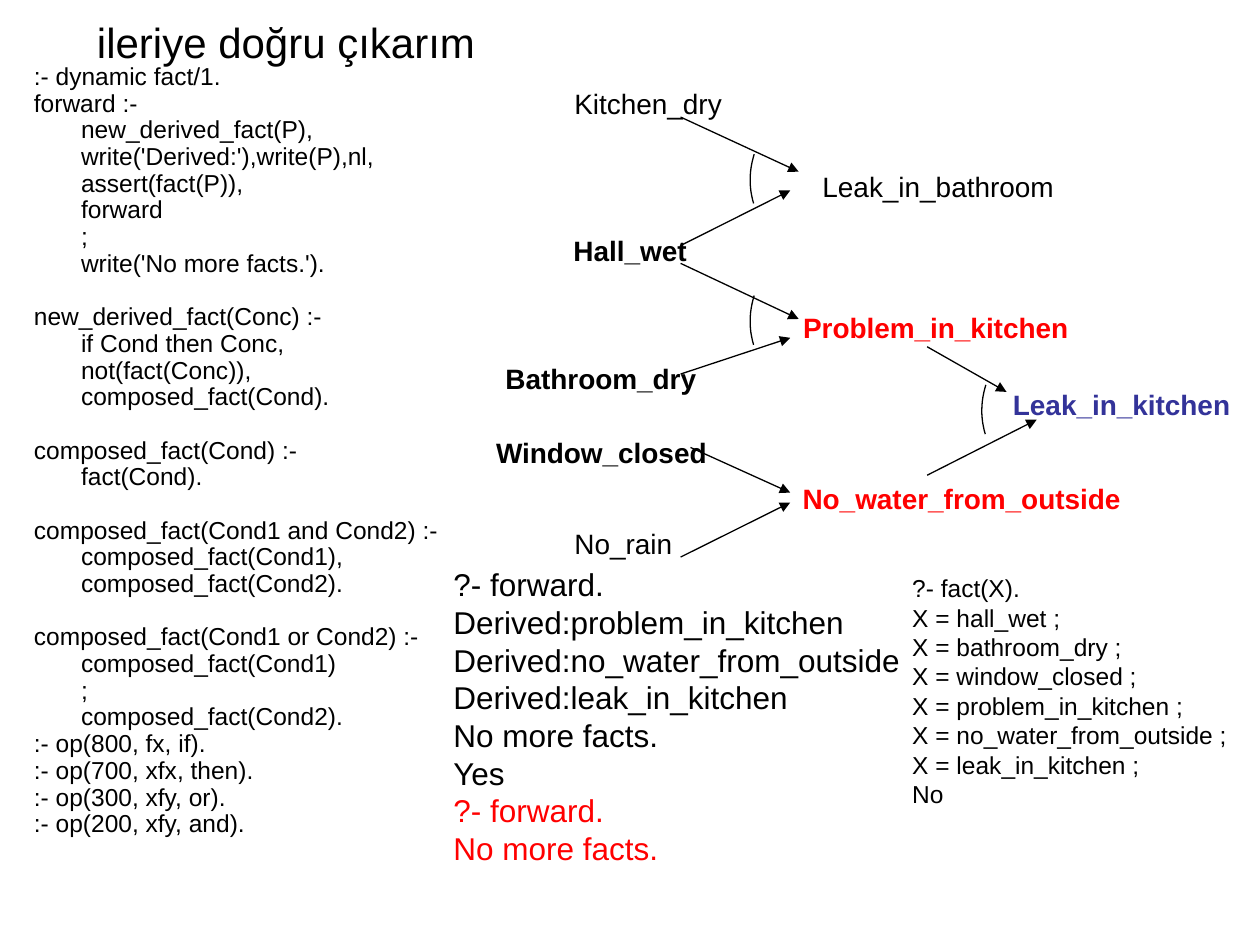
from math import cos, sin

from pptx import Presentation
from pptx.dml.color import RGBColor
from pptx.enum.shapes import MSO_CONNECTOR as CONN
from pptx.enum.text import MSO_ANCHOR, MSO_AUTO_SIZE as FIT, PP_ALIGN
from pptx.oxml.ns import qn
from pptx.util import Cm, Pt
from lxml.etree import SubElement

COLORS = {"black": "000000", "red": "FF0000", "blue": "333399"}


def format_paragraph(p, size, color="black", bold=False):
    p.alignment = PP_ALIGN.LEFT
    for r in p.runs:
        r.font.name = "Arial"
        r.font.size = Pt(size)
        r.font.bold = bold
        r.font.color.rgb = RGBColor.from_string(COLORS[color])


def set_text(sp, text):
    tf = sp.text_frame
    tf.text = text
    tf.word_wrap = True
    tf.auto_size = FIT.NONE
    tf.vertical_anchor = MSO_ANCHOR.TOP
    tf.margin_right = 0
    return tf


prs = Presentation()
prs.slide_width, prs.slide_height = Cm(25.4), Cm(19.05)
s = prs.slides.add_slide(prs.slide_layouts[1])

# Title
title = s.shapes.title
title.left, title.top, title.width, title.height = Cm(1.7), Cm(0.2), Cm(8.13), Cm(1.27)
tf = set_text(title, "ileriye doğru çıkarım")
format_paragraph(tf.paragraphs[0], 24)

# Program listing: one string per clause group
CLAUSES = [
    """:- dynamic fact/1.
forward :-
\tnew_derived_fact(P),
\twrite('Derived:'),write(P),nl,
\tassert(fact(P)),
\tforward
\t;
\twrite('No more facts.').""",
    """new_derived_fact(Conc) :-
\tif Cond then Conc,
\tnot(fact(Conc)),
\tcomposed_fact(Cond).""",
    """composed_fact(Cond) :-
\tfact(Cond).""",
    """composed_fact(Cond1 and Cond2) :-
\tcomposed_fact(Cond1),
\tcomposed_fact(Cond2).""",
    """composed_fact(Cond1 or Cond2) :-
\tcomposed_fact(Cond1)
\t;
\tcomposed_fact(Cond2).
:- op(800, fx, if).
:- op(700, xfx, then).
:- op(300, xfy, or).
:- op(200, xfy, and).""",
]
body = s.placeholders[1]
body.left, body.top, body.width, body.height = Cm(0.43), Cm(1.28), Cm(9.09), Cm(17.35)
tf = set_text(body, "\n".join(CLAUSES))
group_starts = [clause.split("\n")[0] for clause in CLAUSES]
for i, p in enumerate(tf.paragraphs):
    p.line_spacing = Pt(11.75)
    p.space_before = Pt(0 if i == 0 else 18.75 if p.text in group_starts else 3.5)
    pPr = p._p.get_or_add_pPr()
    pPr.set("marL", str(Cm(0.95)))
    pPr.set("indent", str(-Cm(0.95)))
    SubElement(pPr, qn("a:buNone"))
    format_paragraph(p, 14)

# Inference network: arrows
ARROWS = [
    (13.72, 2.36, 16.1, 3.46), (13.72, 4.95, 15.93, 3.84),
    (13.72, 5.31, 16.1, 6.43), (13.72, 7.54, 15.93, 6.81),
    (13.92, 9.02, 15.93, 9.93), (13.72, 11.23, 15.93, 10.13),
    (18.69, 6.99, 20.29, 7.9), (18.69, 9.58, 20.9, 8.46),
]
network = s.shapes.add_group_shape()
for ends in ARROWS:
    arrow = network.shapes.add_connector(CONN.STRAIGHT, *map(Cm, ends))
    arrow.line.color.rgb = RGBColor.from_string(COLORS["black"])
    arrow.line.width = Pt(0.75)
    SubElement(arrow.line._get_or_add_ln(), qn("a:tailEnd"), type="triangle")
    SubElement(arrow._element.spPr, qn("a:effectLst"))

# Inference network: fact labels (text, left, top, width, color, bold)
LABELS = [
    ("Kitchen_dry", 11.33, 1.63, 3.53, "black", False),
    ("Hall_wet", 11.31, 4.58, 2.79, "black", True),
    ("Bathroom_dry", 9.94, 7.17, 4.72, "black", True),
    ("Window_closed", 9.75, 8.65, 4.75, "black", True),
    ("No_rain", 11.33, 10.5, 2.46, "black", False),
    ("No_water_from_outside", 15.93, 9.58, 6.91, "red", True),
    ("Problem_in_kitchen", 15.94, 6.14, 5.84, "red", True),
    ("Leak_in_bathroom", 16.33, 3.29, 5.16, "black", False),
    ("Leak_in_kitchen", 20.17, 7.68, 5.2, "blue", True),
]
for text, left, top, width, color, bold in LABELS:
    label = network.shapes.add_textbox(Cm(left), Cm(top), Cm(width), Cm(0.94))
    tf = set_text(label, text)
    format_paragraph(tf.paragraphs[0], 16, color, bold)

# Arcs that mark "and": part of an ellipse around a pivot, then rotated
RADIUS_X, RADIUS_Y, SWEEP, STEPS = 1.49, 1.27, 0.69, 12
for left, top in [(15.19, 3.12), (15.19, 5.97), (19.86, 7.77)]:
    points = [(Cm(left + RADIUS_X * sin(SWEEP * k / STEPS)),
               Cm(top + RADIUS_Y * cos(SWEEP * k / STEPS))) for k in range(STEPS + 1)]
    builder = s.shapes.build_freeform(Cm(left), Cm(top))
    builder.move_to(*points[0])
    builder.add_line_segments(points[1:], close=False)
    arc = builder.convert_to_shape()
    arc.rotation = 107.7
    arc.shadow.inherit = False
    arc.fill.background()
    arc.line.color.rgb = RGBColor.from_string(COLORS["black"])
    arc.line.width = Pt(0.75)

# Query results: left, top, width, height, size, line pitch, first red line, text
RESULTS = [
    (8.89, 11.27, 9.5, 7.11, 18, 21.55, 6, """?- forward.
Derived:problem_in_kitchen
Derived:no_water_from_outside
Derived:leak_in_kitchen
No more facts.
Yes
?- forward.
No more facts."""),
    (18.14, 11.43, 6.86, 5.59, 14, 16.8, 8, """?- fact(X).
X = hall_wet ;
X = bathroom_dry ;
X = window_closed ;
X = problem_in_kitchen ;
X = no_water_from_outside ;
X = leak_in_kitchen ;
No"""),
]
for left, top, width, height, size, pitch, first_red, text in RESULTS:
    box = s.shapes.add_textbox(Cm(left), Cm(top), Cm(width), Cm(height))
    tf = set_text(box, text)
    for i, p in enumerate(tf.paragraphs):
        p.line_spacing = Pt(pitch)
        format_paragraph(p, size, "red" if i >= first_red else "black")

prs.save("out.pptx")
